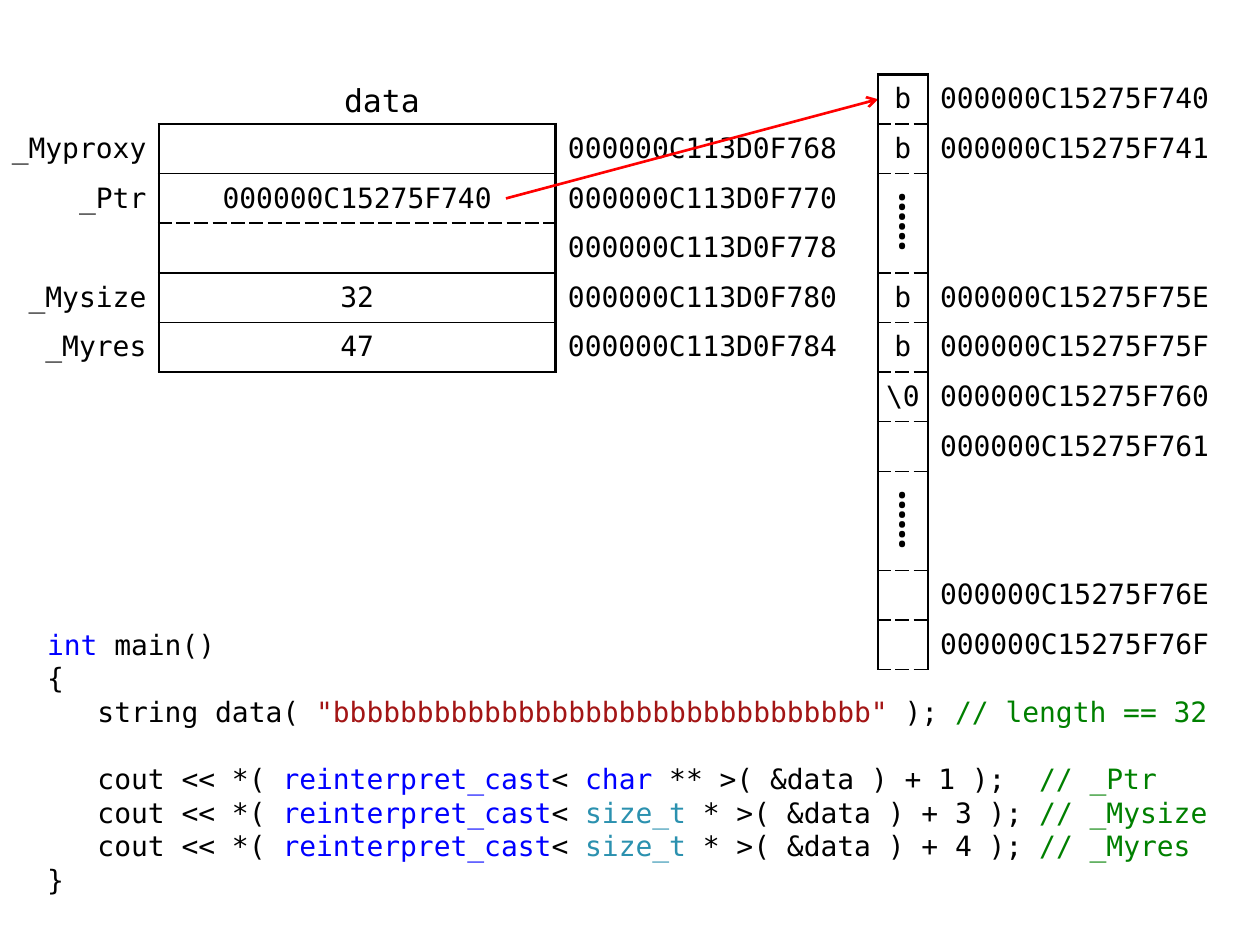
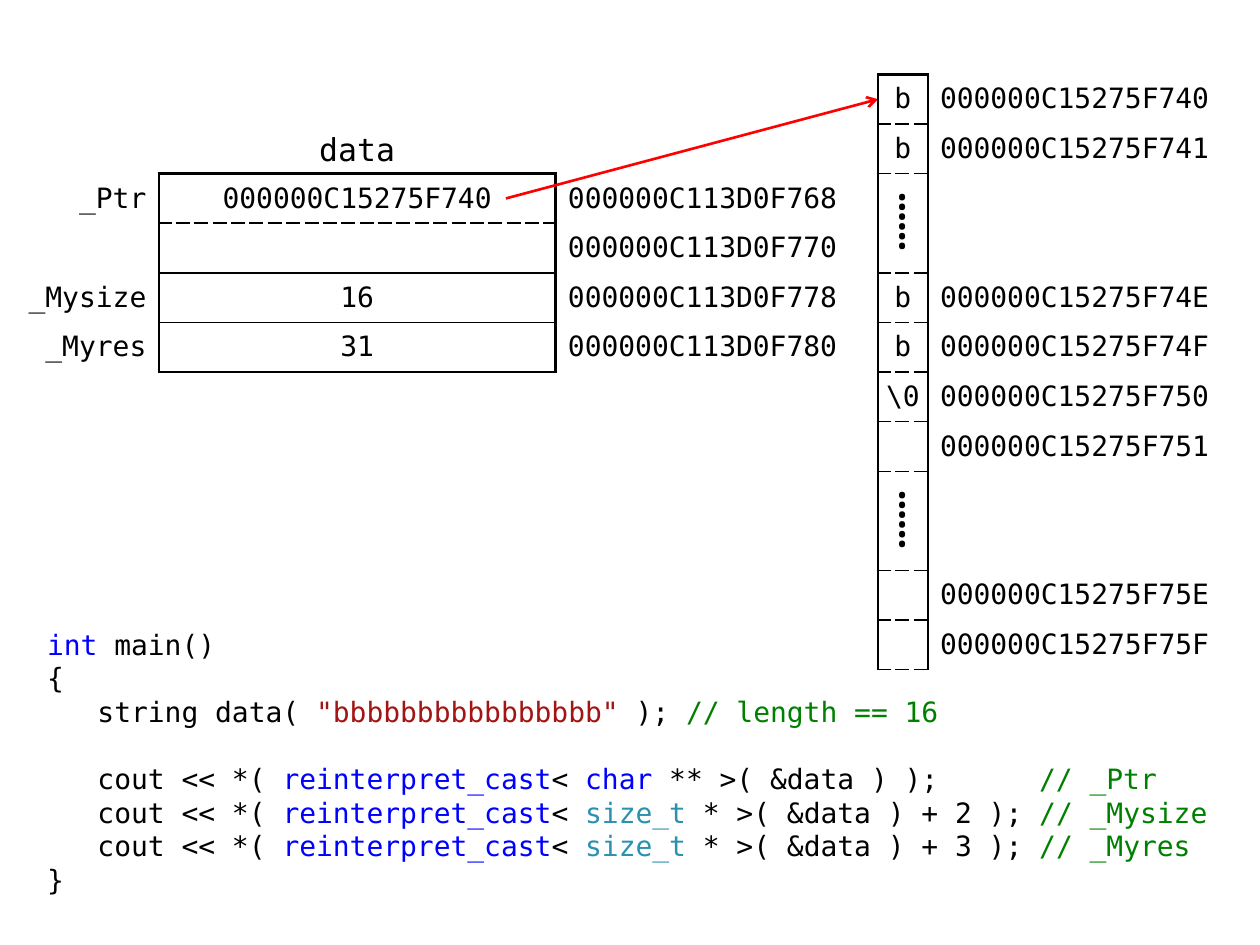
from pptx import Presentation, util as u
from pptx.dml.color import RGBColor
from pptx.enum import shapes, text
from pptx.oxml import parse_xml
from pptx.oxml.ns import nsdecls, qn

MONO = "DejaVu Sans Mono"
SERIF = "Times New Roman"
BLACK, BLUE, RED, GREEN, TEAL = "000000", "0000FF", "A31515", "008000", "2B91AF"
ARROW_RED = "FF0000"
NO_STYLE = "{2D5ABB26-0587-4C30-8999-92F81FD0307C}"
LEFT, CENTER, RIGHT = text.PP_ALIGN.LEFT, text.PP_ALIGN.CENTER, text.PP_ALIGN.RIGHT

# Border styles: width in points and dash
THICK, THIN, DASHED = (1.5, "solid"), (1, "solid"), (1, "sysDash")

CELL = 1  # height of one memory cell, cm
HEAP_LEFT, HEAP_TOP = 17.7, 1.5
HEAP_BASE = 0xC15275F740
CODE_PITCH = u.Pt(19.2)


def colour(value):
    return RGBColor.from_string(value)


def add_span(para, content, size=16, font=MONO, fill=BLACK):
    span = para.add_run()
    span.text = content
    span.font.size = u.Pt(size)
    span.font.name = font
    span.font.color.rgb = colour(fill)


def set_borders(cell, edges):
    """Draw the edges given as a dict of L, R, T, B to border styles."""
    properties = cell._tc.get_or_add_tcPr()
    present = [side for side in "LRTB" if side in edges]
    for place, side in enumerate(present):
        width, dash = edges[side]
        properties.insert(place, parse_xml(
            f'<a:ln{side} {nsdecls("a")} w="{u.Pt(width)}"><a:solidFill>'
            f'<a:srgbClr val="{BLACK}"/></a:solidFill>'
            f'<a:prstDash val="{dash}"/></a:ln{side}>'))


def fill_cell(cell, content="", align=LEFT, left=0, right=0, edges=None, **style):
    cell.fill.background()
    cell.vertical_anchor = text.MSO_ANCHOR.MIDDLE
    cell.margin_left, cell.margin_right = u.Cm(left), u.Cm(right)
    cell.margin_top = cell.margin_bottom = 0
    set_borders(cell, edges or {})
    if content:
        para = cell.text_frame.paragraphs[0]
        para.alignment = align
        add_span(para, content, **style)


def add_grid(page, left, top, widths, row_count):
    frame = page.shapes.add_table(row_count, len(widths), u.Cm(left), u.Cm(top),
                                  u.Cm(sum(widths)), u.Cm(row_count * CELL))
    table = frame.table
    table.first_row = table.horz_banding = False
    table._tbl.tblPr.find(qn("a:tableStyleId")).text = NO_STYLE
    for column, width in zip(table.columns, widths):
        column.width = u.Cm(width)
    for row in table.rows:
        row.height = u.Cm(CELL)
    return table


def add_box(page, left, top, width, height):
    box = page.shapes.add_textbox(u.Cm(left), u.Cm(top), u.Cm(width), u.Cm(height))
    box.text_frame.word_wrap = True
    return box.text_frame


def add_object_table(page, rows):
    """Rows of label, value, address; an unlabelled row continues the field above."""
    top = HEAP_TOP + 5 * CELL + CELL - len(rows) * CELL
    table = add_grid(page, 0.2, top, (3, 8, 6), len(rows))
    rules = [THIN if label else DASHED for label, _, _ in rows] + [THICK]
    rules[0] = THICK
    for index, (label, value, address) in enumerate(rows):
        fill_cell(table.cell(index, 0), label, RIGHT, right=0.25, edges={"R": THICK})
        fill_cell(table.cell(index, 1), value, CENTER, 0.2, 0.2,
                  {"L": THICK, "R": THICK, "T": rules[index], "B": rules[index + 1]})
        fill_cell(table.cell(index, 2), address, LEFT, 0.25, 0.2, {"L": THICK})


def add_heap_table(page, length, capacity):
    """Character buffer: marks, with addresses given as offsets from the base."""
    rows = [("b", 0), ("b", 1), ("⸽", None), ("", None),
            ("b", length - 2), ("b", length - 1), ("\\0", length), ("", length + 1),
            ("⸽", None), ("", None), ("", capacity - 1), ("", capacity)]
    table = add_grid(page, HEAP_LEFT, HEAP_TOP, (1, 6), len(rows))
    for index, (mark, offset) in enumerate(rows):
        edges = {"L": THICK, "R": THICK, "T": DASHED if index else THICK, "B": DASHED}
        gap = mark == "⸽"
        if gap:
            table.cell(index, 0).merge(table.cell(index + 1, 0))
        elif index and rows[index - 1][0] == "⸽":
            del edges["T"]
        if gap:
            del edges["B"]
        style = {"size": 28, "font": SERIF} if gap else {}
        fill_cell(table.cell(index, 0), mark, CENTER, edges=edges, **style)
        address = "" if offset is None else f"{HEAP_BASE + offset:016X}"
        fill_cell(table.cell(index, 1), address, LEFT, 0.25, 0.2, {"L": THICK})


def add_title(page, left, top):
    para = add_box(page, left, top, 4, CELL).paragraphs[0]
    para.alignment = CENTER
    add_span(para, "data", size=18)


def add_pointer(page):
    line = page.shapes.add_connector(shapes.MSO_CONNECTOR.STRAIGHT, u.Cm(10.2), u.Cm(4),
                                     u.Cm(HEAP_LEFT), u.Cm(HEAP_TOP + CELL / 2))
    line.line.color.rgb = colour(ARROW_RED)
    line.line.width = u.Pt(1.5)
    line.line._get_or_add_ln().append(
        parse_xml(f'<a:tailEnd {nsdecls("a")} type="arrow"/>'))
    line._element.spPr.append(parse_xml(f'<a:effectLst {nsdecls("a")}/>'))


def cast_line(kind, kind_colour, rest, comment):
    return [("   cout << *( ", BLACK), ("reinterpret_cast", BLUE), ("< ", BLACK),
            (kind, kind_colour), (rest, BLACK), (comment, GREEN)]


def add_code(page, length, pointer_rest, size_index):
    lines = [
        [("int", BLUE), (" main()", BLACK)],
        [("{", BLACK)],
        [("   string data( ", BLACK), ('"' + "b" * length + '"', RED),
         (" ); ", BLACK), (f"// length == {length}", GREEN)],
        cast_line("char", BLUE, pointer_rest, "// _Ptr"),
        cast_line("size_t ", TEAL, f"* >( &data ) + {size_index} );", " // _Mysize"),
        cast_line("size_t ", TEAL, f"* >( &data ) + {size_index + 1} );", " // _Myres"),
        [("}", BLACK)],
    ]
    frame = add_box(page, 0.7, 12.52, 24, 5.5)
    for index, line in enumerate(lines):
        para = frame.add_paragraph() if index else frame.paragraphs[0]
        para.line_spacing = CODE_PITCH
        if index == 3:  # the statements stand one line below the declaration
            para.space_before = CODE_PITCH
        for content, fill in line:
            add_span(para, content, fill=fill)


def add_memory_page(deck, rows, length, capacity, title_at, pointer_rest, size_index):
    page = deck.slides.add_slide(deck.slide_layouts[6])
    add_code(page, length, pointer_rest, size_index)
    add_object_table(page, rows)
    add_title(page, *title_at)
    add_pointer(page)
    add_heap_table(page, length, capacity)


def main():
    deck = Presentation()
    deck.slide_width, deck.slide_height = u.Cm(25.4), u.Cm(19.05)

    # Layout with a proxy field
    add_memory_page(deck, [
        ("_Myproxy", "", "000000C113D0F768"),
        ("_Ptr", "000000C15275F740", "000000C113D0F770"),
        ("", "", "000000C113D0F778"),
        ("_Mysize", "32", "000000C113D0F780"),
        ("_Myres", "47", "000000C113D0F784"),
    ], 32, 47, (5.7, 1.5), " ** >( &data ) + 1 );  ", 3)

    # Layout without a proxy field
    add_memory_page(deck, [
        ("_Ptr", "000000C15275F740", "000000C113D0F768"),
        ("", "", "000000C113D0F770"),
        ("_Mysize", "16", "000000C113D0F778"),
        ("_Myres", "31", "000000C113D0F780"),
    ], 16, 31, (5.2, 2.5), " ** >( &data ) );      ", 2)

    deck.save("out.pptx")


if __name__ == "__main__":
    main()
